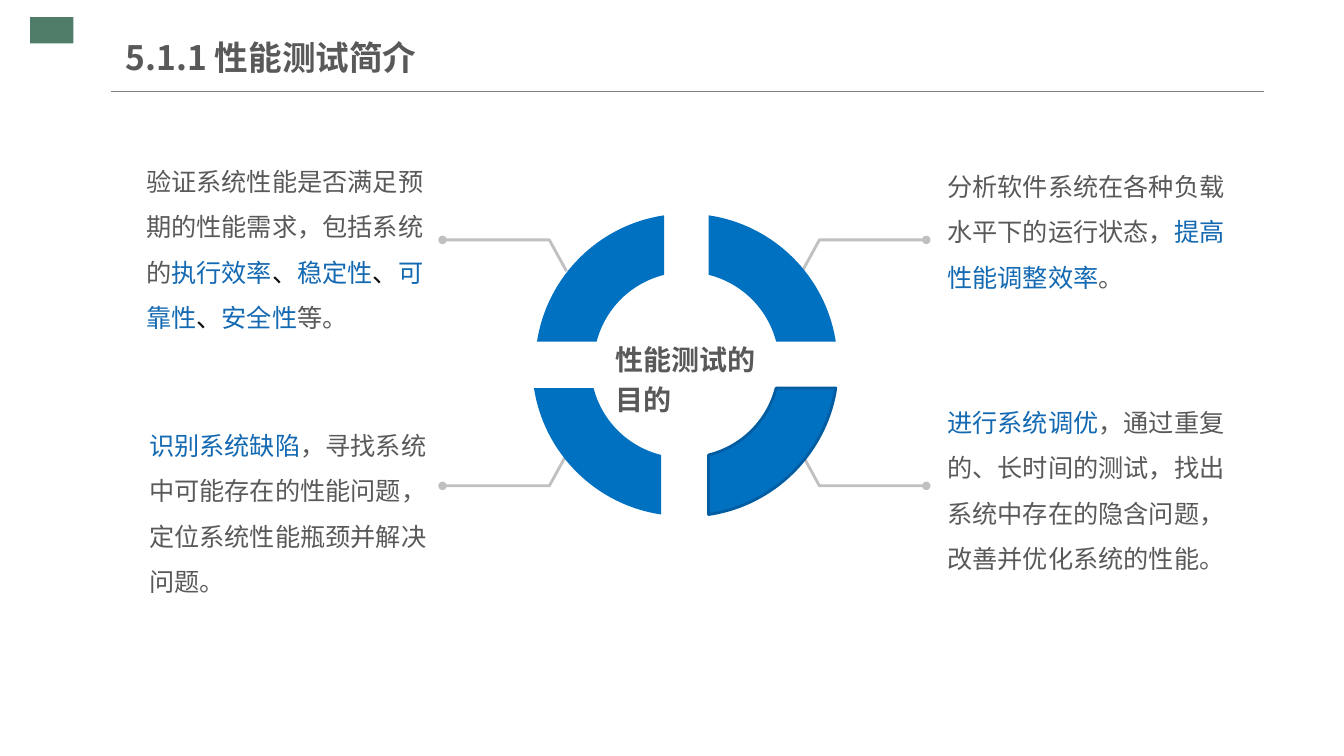
"""Build the slide on the purposes of performance testing."""
import math
from dataclasses import dataclass

import lxml.etree
import pptx
import pptx.dml.color
import pptx.enum.shapes
import pptx.enum.text
import pptx.oxml.ns
import pptx.util

Inches = pptx.util.Inches
Anchor = pptx.enum.text.MSO_ANCHOR
AutoSize = pptx.enum.text.MSO_AUTO_SIZE
FONT = "Noto Sans CJK SC"
GRAY, BLUE, BLACK = "595959", "1369B2", "0D0D0D"
RING_BLUE, RING_EDGE, LEADER = "0070C0", "005DA2", "C0C0C0"
RING_X, RING_Y, OUTER, INNER, GAP_X, GAP_Y = 6.81, 3.62, 1.5, 0.92, 0.22, 0.23
LEADER_X, LEADER_Y = 6.79, 3.6


@dataclass
class Run:
    text: str
    color: str = GRAY


@dataclass
class Note:
    left: float
    top: float
    width: float
    height: float
    runs: list[Run]
    grow: bool = True


@dataclass
class Quadrant:
    sx: int
    sy: int
    shift: float = 0
    edge: str | None = None


NOTES = [
    Note(1.45, 1.5, 2.98, 1.75, [
        Run("验证系统性能是否满足预期的性能需求，包括系统的"),
        Run("执行效率", BLUE), Run("、", BLACK), Run("稳定性", BLUE), Run("、", BLACK),
        Run("可靠性", BLUE), Run("、", BLACK), Run("安全性", BLUE), Run("等。")], False),
    Note(9.3, 1.5, 3.02, 1.46, [
        Run("分析软件系统在各种负载水平下的运行状态，"), Run("提高性能调整效率", BLUE), Run("。")]),
    Note(1.38, 4.07, 2.95, 1.92, [
        Run("识别系统缺陷", BLUE),
        Run("，寻找系统中可能存在的性能问题，定位系统性能瓶颈并解决问题。")]),
    Note(9.3, 3.84, 3.13, 1.93, [
        Run("进行系统调优", BLUE),
        Run("，通过重复的、长时间的测试，找出系统中存在的隐含问题，改善并优化系统的性能。")]),
]
QUADRANTS = [Quadrant(-1, -1), Quadrant(1, -1), Quadrant(-1, 1, -0.03),
             Quadrant(1, 1, edge=RING_EDGE)]


def rgb(color: str) -> pptx.dml.color.RGBColor:
    return pptx.dml.color.RGBColor.from_string(color)


def add_xml(parent, tag: str, **attrs: str) -> None:
    lxml.etree.SubElement(parent, pptx.oxml.ns.qn(tag), **attrs)


def place(sp, left: float, top: float, width: float, height: float) -> None:
    sp.left, sp.top, sp.width, sp.height = map(Inches, (left, top, width, height))


def write(sp, runs: list[Run], size: float, bold: bool, spacing: float, anchor,
          inset_x: float, inset_y: float) -> None:
    tf = sp.text_frame
    tf.word_wrap = True
    tf.auto_size = AutoSize.NONE
    tf.vertical_anchor = anchor
    tf.margin_left = tf.margin_right = Inches(inset_x)
    tf.margin_top = tf.margin_bottom = Inches(inset_y)
    p = tf.paragraphs[0]
    p.alignment = pptx.enum.text.PP_ALIGN.LEFT
    p.line_spacing = spacing
    for run in runs:
        r = p.add_run()
        r.text = run.text
        r.font.size, r.font.bold, r.font.name = pptx.util.Pt(size), bold, FONT
        r.font.color.rgb = rgb(run.color)
        rpr = r._r.get_or_add_rPr()
        rpr.set("lang", "zh-CN")
        add_xml(rpr, "a:ea", typeface=FONT)


def paint(sp, fill: str | None, line: str | None, width: float = 2) -> None:
    sp.shadow.inherit = False
    if fill:
        sp.fill.solid()
        sp.fill.fore_color.rgb = rgb(fill)
    else:
        sp.fill.background()
    if line:
        sp.line.color.rgb = rgb(line)
        sp.line.width = pptx.util.Pt(width)
    else:
        sp.line.fill.background()


def add_outline(s, points: list[tuple[float, float]], close: bool):
    start, *rest = [(Inches(x), Inches(y)) for x, y in points]
    builder = s.shapes.build_freeform(*start)
    builder.add_line_segments(rest, close=close)
    return builder.convert_to_shape()


def arc(radius: float) -> list[tuple[float, float]]:
    a, b = math.asin(GAP_Y / radius), math.acos(GAP_X / radius)
    k = 4 / 3 * math.tan((b - a) / 4)
    x1, y1 = radius * math.cos(a), radius * math.sin(a)
    x2, y2 = radius * math.cos(b), radius * math.sin(b)
    return [(x1, y1), (x1 - k * y1, y1 + k * x1), (x2 + k * y2, y2 - k * x2), (x2, y2)]


def bend(sp) -> None:
    lines = list(sp._element.iter(pptx.oxml.ns.qn("a:lnTo")))
    for first in (0, 4):
        head, *others = lines[first:first + 3]
        head.tag = pptx.oxml.ns.qn("a:cubicBezTo")
        for line in others:
            head.append(line[0])
            line.getparent().remove(line)


def add_leader(s, q: Quadrant) -> None:
    offsets = [(1.17, 0.91), (1.34, 1.22), (2.4, 1.22)]
    sp = add_outline(s, [(LEADER_X + q.sx * x, LEADER_Y + q.sy * y) for x, y in offsets], False)
    paint(sp, None, LEADER)
    add_xml(sp.line._get_or_add_ln(), "a:tailEnd", type="oval")


def add_segment(s, q: Quadrant) -> None:
    offsets = arc(OUTER) + arc(INNER)[::-1]
    sp = add_outline(s, [(RING_X + q.shift + q.sx * x, RING_Y + q.sy * y)
                         for x, y in offsets], True)
    bend(sp)
    paint(sp, RING_BLUE, q.edge)


def add_text(s, note: Note, size: float, bold: bool, spacing: float, anchor) -> None:
    sp = s.shapes.add_textbox(0, 0, 0, 0)
    place(sp, note.left, note.top, note.width, note.height)
    insets = (0.1, 0.05) if note.grow else (0, 0)
    write(sp, note.runs, size, bold, spacing, anchor, *insets)
    if note.grow:
        sp.text_frame.auto_size = AutoSize.SHAPE_TO_FIT_TEXT


def add_header(s) -> None:
    sp = s.shapes.add_shape(pptx.enum.shapes.MSO_SHAPE.RECTANGLE, 0, 0, 0, 0)
    place(sp, 0.3, 0.17, 0.43, 0.26)
    paint(sp, "4F7D6A", None)
    rule = s.shapes.add_connector(pptx.enum.shapes.MSO_CONNECTOR.STRAIGHT,
                                  Inches(1.1), Inches(0.91), Inches(12.54), Inches(0.91))
    rule.line.color.rgb = rgb("808080")
    rule.line.width = pptx.util.Pt(0.75)
    add_xml(rule._element.spPr, "a:effectLst")
    title = s.shapes.title
    place(title, 1.25, 0.29, 9.27, 0.55)
    write(title, [Run("5.1.1 性能测试简介")], 24, True, 1, Anchor.MIDDLE, 0, 0.07)


def main() -> None:
    prs = pptx.Presentation()
    prs.slide_width, prs.slide_height = Inches(40 / 3), Inches(7.5)
    s = prs.slides.add_slide(prs.slide_layouts[5])
    add_header(s)
    for q in QUADRANTS:
        add_leader(s, q)
    for q in QUADRANTS:
        add_segment(s, q)
    center = Note(6.11, 3.2, 1.43, 0.93, [Run("性能测试的目的")], False)
    add_text(s, center, 20, True, 1.2, Anchor.BOTTOM)
    for note in NOTES:
        add_text(s, note, 18, False, 1.5, Anchor.TOP)
    prs.save("out.pptx")


if __name__ == "__main__":
    main()
